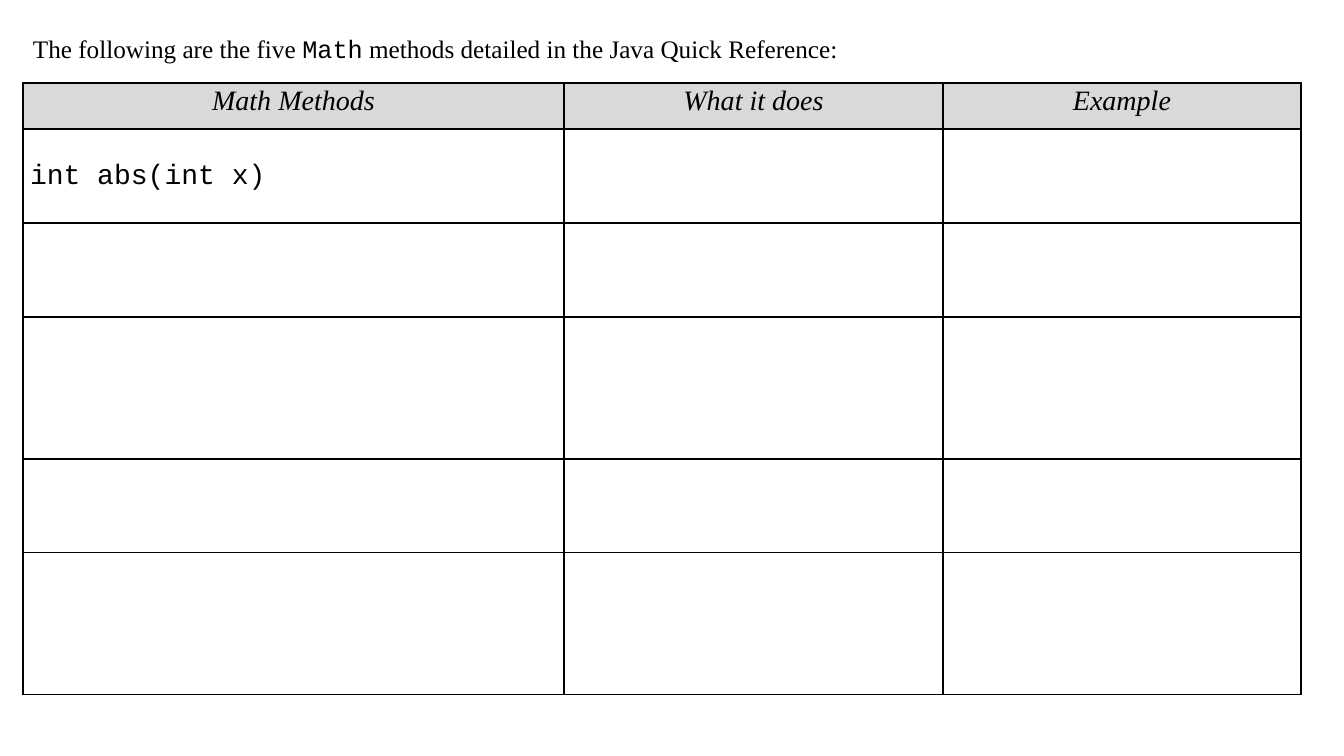
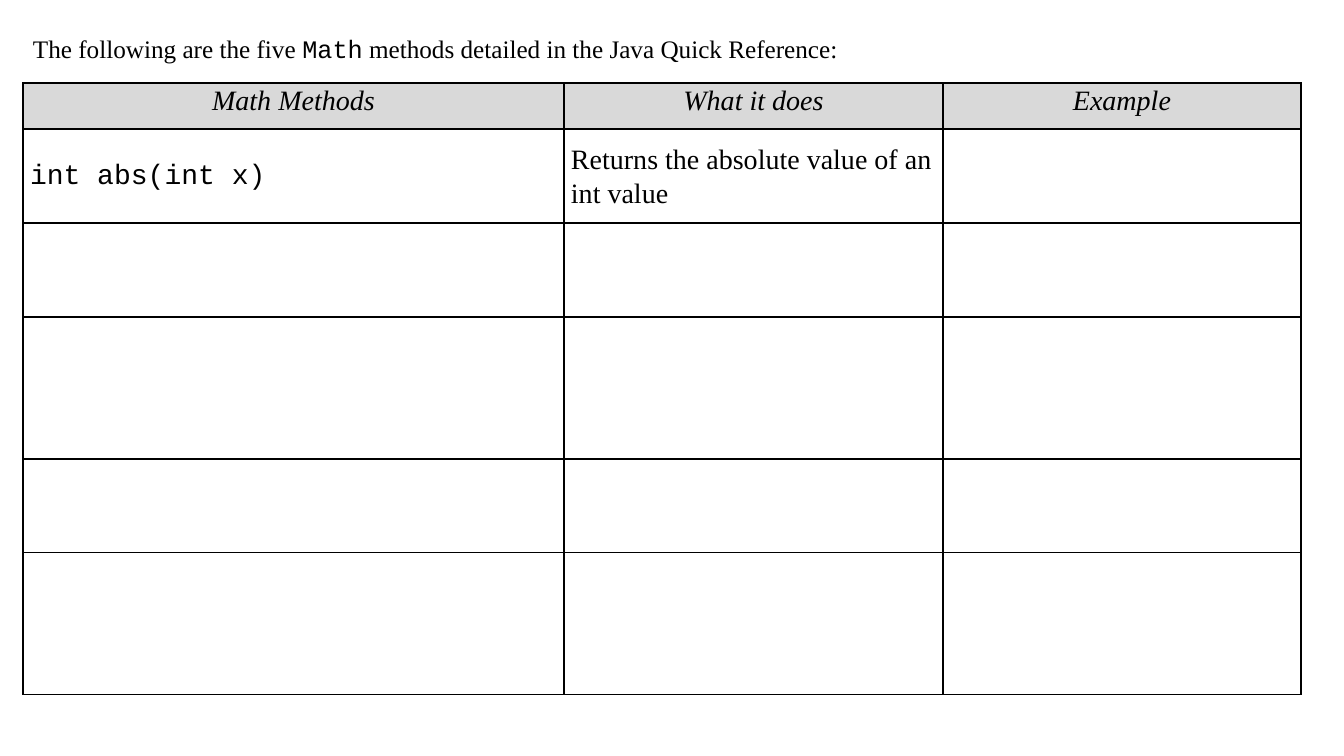
from lxml import etree
from pptx import Presentation
from pptx import util as u
from pptx.dml.color import RGBColor
from pptx.enum import text
from pptx.oxml import ns

BLACK = RGBColor(0x00, 0x00, 0x00)
HEADER_GREY = RGBColor(0xD9, 0xD9, 0xD9)
SERIF, MONO = "Times New Roman", "Courier New"
LINE_SPACING = 1.07

# Table grid, in px
COLUMN_WIDTHS = [541, 379, 358]
SHORT_ROW, TALL_ROW = 94, 142
ROW_HEIGHTS = [46, SHORT_ROW, SHORT_ROW, TALL_ROW, SHORT_ROW, TALL_ROW]

INTRO = [("The following are the five ", SERIF), ("Math", MONO),
         (" methods detailed in the Java Quick Reference:", SERIF)]
HEADINGS = ["Math Methods", "What it does", "Example"]
METHOD = [("int abs(int x)", MONO)]
MEANING = [("Returns the absolute value of an int value", SERIF)]


def px(length):
    """Convert px to EMU at 100.8 px to the inch."""
    return u.Emu(round(length * 914400 / 100.8))


def write(frame, spans, size, align=text.PP_ALIGN.LEFT, italic=False):
    """Write (words, font) spans as one paragraph."""
    para = frame.paragraphs[0]
    para.alignment = align
    para.line_spacing = LINE_SPACING
    for words, font in spans:
        span = para.add_run()
        span.text = words
        span.font.name = font
        span.font.size = u.Pt(size)
        span.font.italic = italic
        span.font.color.rgb = BLACK


class Page:
    """The deck's style and its current slide."""

    def __init__(self, deck):
        self.deck = deck
        self.slide = None

    def start(self):
        self.slide = self.deck.slides.add_slide(self.deck.slide_layouts[6])

    def intro(self, spans):
        box = self.slide.shapes.add_textbox(px(23), px(26), px(987), px(42))
        box.text_frame.word_wrap = True
        box.text_frame.auto_size = text.MSO_AUTO_SIZE.SHAPE_TO_FIT_TEXT
        write(box.text_frame, spans, 18)

    def border(self, cell):
        properties = cell._tc.get_or_add_tcPr()
        for side in ("lnL", "lnR", "lnT", "lnB"):
            line = etree.SubElement(properties, ns.qn(f"a:{side}"), w=str(u.Pt(1)))
            fill = etree.SubElement(line, ns.qn("a:solidFill"))
            etree.SubElement(fill, ns.qn("a:srgbClr"), val=str(BLACK))

    def table(self, headings, body):
        """Draw the ruled grid; body holds the filled rows below the header."""
        frame = self.slide.shapes.add_table(
            len(ROW_HEIGHTS), len(COLUMN_WIDTHS), px(23), px(83),
            px(sum(COLUMN_WIDTHS)), px(sum(ROW_HEIGHTS)))
        table = frame.table
        table.first_row = table.horz_banding = False
        for column, width in zip(table.columns, COLUMN_WIDTHS):
            column.width = px(width)
        for row, height in zip(table.rows, ROW_HEIGHTS):
            row.height = px(height)
        for cell in table.iter_cells():
            cell.margin_left = cell.margin_right = px(7)
            cell.margin_top = cell.margin_bottom = 0
            self.border(cell)
            cell.fill.background()

        # Header row
        for column, heading in enumerate(headings):
            cell = table.cell(0, column)
            cell.fill.solid()
            cell.fill.fore_color.rgb = HEADER_GREY
            write(cell.text_frame, [(heading, SERIF)], 20,
                  align=text.PP_ALIGN.CENTER, italic=True)

        # Body rows
        for row, entries in enumerate(body, start=1):
            for column, spans in enumerate(entries):
                cell = table.cell(row, column)
                cell.vertical_anchor = text.MSO_ANCHOR.MIDDLE
                write(cell.text_frame, spans, 20)


def main():
    deck = Presentation()
    deck.slide_width, deck.slide_height = px(1344), px(756)
    page = Page(deck)
    # The second slide reveals what the method does
    for first_row in ([METHOD], [METHOD, MEANING]):
        page.start()
        page.intro(INTRO)
        page.table(HEADINGS, [first_row])
    deck.save("out.pptx")


if __name__ == "__main__":
    main()
